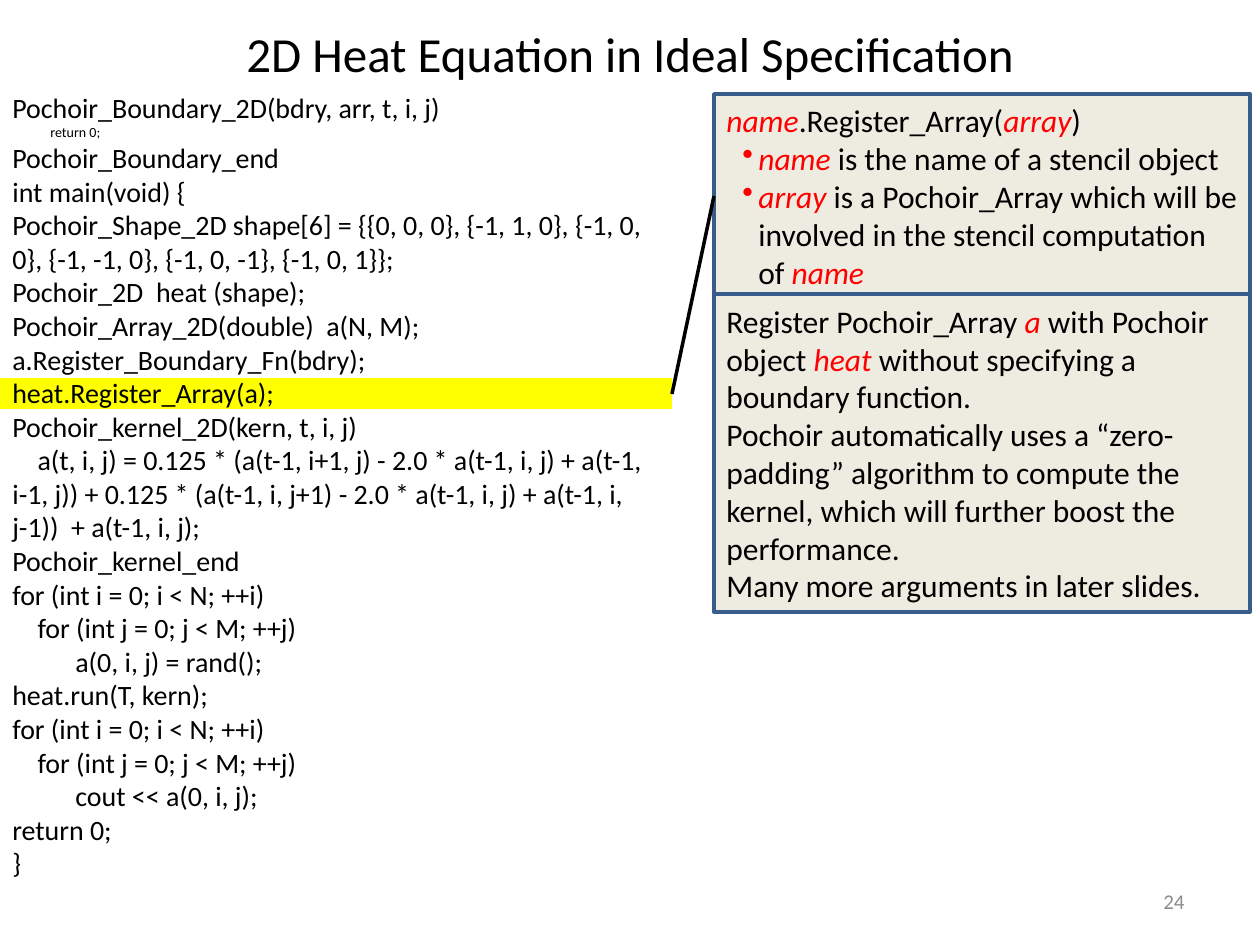
import pptx
import pptx.util
import pptx.dml.color
import pptx.enum.shapes
import pptx.enum.text
import pptx.oxml
import pptx.oxml.ns
from lxml import etree

color = pptx.dml.color.RGBColor.from_string
theme = {
    "font": "Calibri",
    "ink": color("000000"),
    "key": color("FF0000"),
    "mute": color("8C8C8C"),
    "mark": color("FFFF00"),
    "panel": color("EEECE1"),
    "edge": color("385D8A"),
    "title": 28,
    "note": 18,
    "code": 16,
    "tiny": 8,
    "page": 12,
}
align = pptx.enum.text.PP_ALIGN
anchor = pptx.enum.text.MSO_ANCHOR
rect = pptx.enum.shapes.MSO_SHAPE.RECTANGLE
scale = 914400 / 126


def px(*sizes):
    return [pptx.util.Emu(round(size * scale)) for size in sizes]


def write(frame, lines, size, ink, side=align.LEFT, mid=anchor.MIDDLE):
    frame.word_wrap = True
    frame.vertical_anchor = mid
    for num, line in enumerate(lines):
        para = frame.paragraphs[0] if num == 0 else frame.add_paragraph()
        para.alignment = side
        para.text = line
        para.font.name = theme["font"]
        para.font.size = pptx.util.Pt(size)
        para.font.color.rgb = ink


deck = pptx.Presentation()
deck.slide_width, deck.slide_height = px(1260, 945)
slide = deck.slides.add_slide(deck.slide_layouts[6])
shapes = slide.shapes

title = shapes.add_textbox(*px(63, 0, 1134, 105)).text_frame
write(title, ["2D Heat Equation in Ideal Specification"],
      theme["title"], theme["ink"], align.CENTER)
page = shapes.add_textbox(*px(903, 876, 294, 50)).text_frame
write(page, ["24"], theme["page"], theme["mute"], align.RIGHT)

band = shapes.add_shape(rect, *px(0, 378, 672, 31))
band.shadow.inherit = False
band.fill.solid()
band.fill.fore_color.rgb = theme["mark"]
band.line.fill.background()

# Text between asterisks is a key word; a leading "• " makes a bullet.
notes = [
    (94, 204, [
        "*name*.Register_Array(*array*)",
        "• *name *is the name of a stencil object",
        "• *array *is a Pochoir_Array which will be involved in the "
        "stencil computation of *name*",
    ]),
    (294, 318, [
        "Register Pochoir_Array *a* with Pochoir object *heat* without "
        "specifying a boundary function.",
        "Pochoir automatically uses a “zero-padding” algorithm to compute "
        "the kernel, which will further boost the performance.",
        "Many more arguments in later slides.",
    ]),
]
for top, high, lines in notes:
    panel = shapes.add_shape(rect, *px(714, top, 536, high))
    panel.shadow.inherit = False
    panel.fill.solid()
    panel.fill.fore_color.rgb = theme["panel"]
    panel.line.color.rgb = theme["edge"]
    panel.line.width = pptx.util.Pt(2)
    write(panel.text_frame, [""] * len(lines), theme["note"], theme["ink"])
    for para, line in zip(panel.text_frame.paragraphs, lines):
        if line.startswith("• "):
            props = para._p.get_or_add_pPr()
            left, hang = px(32, -16)
            props.set("marL", str(left))
            props.set("indent", str(hang))
            bullet = pptx.oxml.parse_xml(
                '<a:buChar %s char="•"/>' % pptx.oxml.ns.nsdecls("a"))
            props.insert(0, bullet)
            line = line[2:]
        for num, part in enumerate(line.split("*")):
            if part:
                run = para.add_run()
                run.text = part
                if num % 2:
                    run.font.italic = True
                    run.font.color.rgb = theme["key"]

link = shapes.add_connector(
    pptx.enum.shapes.MSO_CONNECTOR.STRAIGHT, *px(672, 394, 714, 196))
link.line.color.rgb = theme["ink"]
link.line.width = pptx.util.Pt(2)
etree.SubElement(link._element.spPr, pptx.oxml.ns.qn("a:effectLst"))

code = """Pochoir_Boundary_2D(bdry, arr, t, i, j)
            return 0;
Pochoir_Boundary_end
int main(void) {
Pochoir_Shape_2D shape[6] = {{0, 0, 0}, {-1, 1, 0}, {-1, 0, 0}, {-1, -1, 0}, {-1, 0, -1}, {-1, 0, 1}};
Pochoir_2D  heat (shape);
Pochoir_Array_2D(double)  a(N, M);
a.Register_Boundary_Fn(bdry);
heat.Register_Array(a);
Pochoir_kernel_2D(kern, t, i, j)
    a(t, i, j) = 0.125 * (a(t-1, i+1, j) - 2.0 * a(t-1, i, j) + a(t-1, i-1, j)) + 0.125 * (a(t-1, i, j+1) - 2.0 * a(t-1, i, j) + a(t-1, i, j-1))  + a(t-1, i, j);
Pochoir_kernel_end
for (int i = 0; i < N; ++i)
    for (int j = 0; j < M; ++j)
          a(0, i, j) = rand();
heat.run(T, kern);
for (int i = 0; i < N; ++i)
    for (int j = 0; j < M; ++j)
          cout << a(0, i, j);
return 0;
}"""
body = shapes.add_textbox(*px(0, 84, 683, 810)).text_frame
write(body, code.split("\n"), theme["code"], theme["ink"], mid=anchor.TOP)
body.paragraphs[1].font.size = pptx.util.Pt(theme["tiny"])

deck.save("out.pptx")
